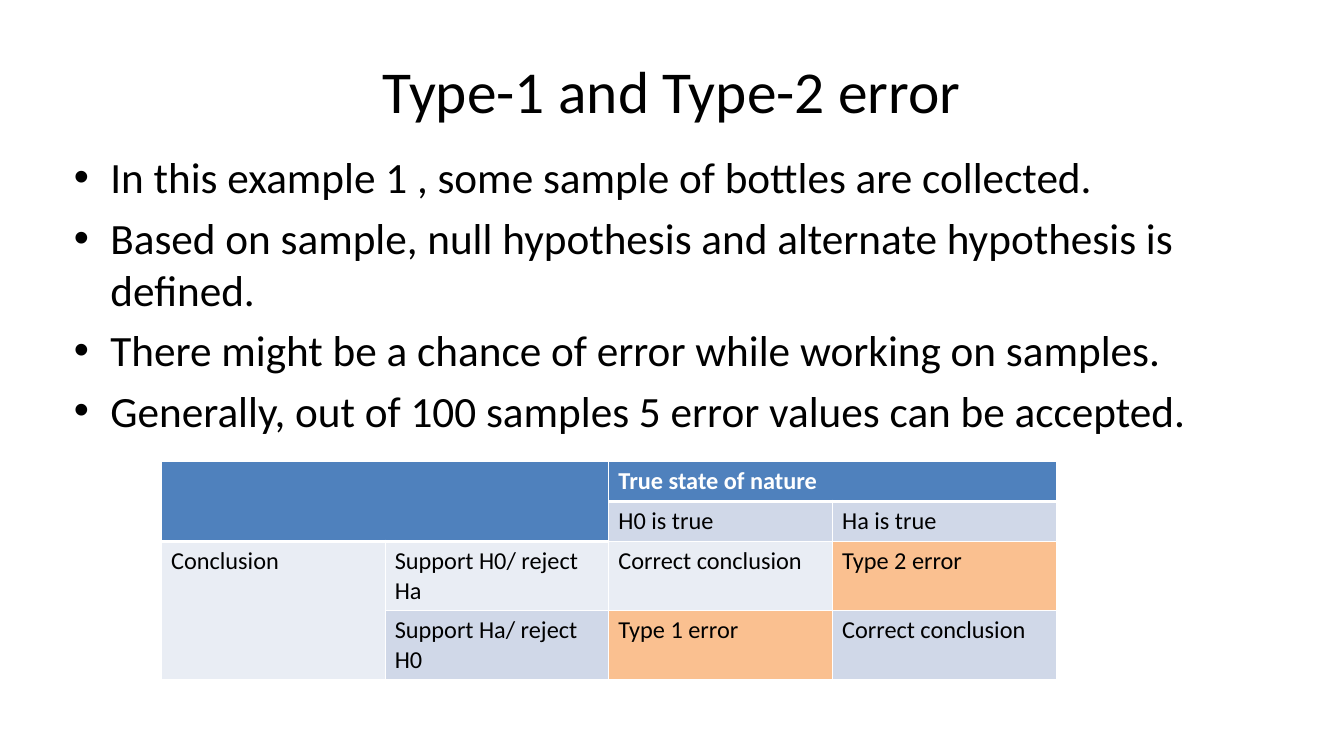
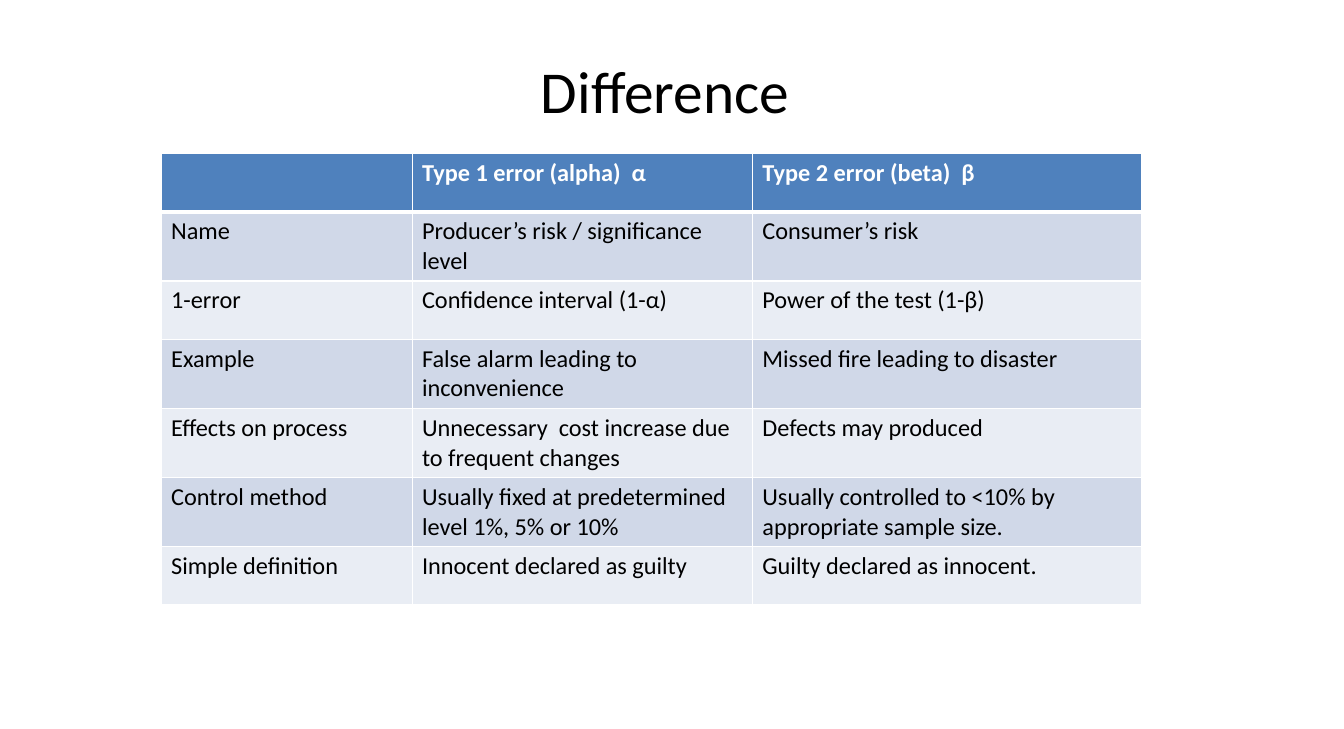
from lxml import etree
from pptx import Presentation
from pptx import util as u
from pptx.dml.color import RGBColor
from pptx.enum import text
from pptx.oxml import ns

FONT = "Calibri"
HUES = {"H": "4F81BD", "D": "D0D8E8", "L": "E9EDF4", "O": "FAC090",
        "ink": "000000", "edge": "FFFFFF"}

PAGES = [
    {
        "title": "Type-1 and Type-2 error",
        "points": [
            "In this example 1 , some sample of bottles are collected.",
            "Based on sample, null hypothesis and alternate hypothesis is defined.",
            "There might be a chance of error while working on samples.",
            "Generally, out of 100 samples 5 error values can be accepted.",
        ],
        "top": 4.75,
        "cols": [2.3] * 4,
        "high": 0.41,
        "fills": ["HHHH", "HHDD", "LLLO", "LDOD"],
        "spans": [(0, 0, 1, 1), (0, 2, 0, 3), (2, 0, 3, 0)],
        "rows": [
            ("", "", "True state of nature", ""),
            ("", "", "H0 is true", "Ha is true"),
            ("Conclusion", "Support H0/ reject Ha", "Correct conclusion", "Type 2 error"),
            ("", "Support Ha/ reject H0", "Type 1 error", "Correct conclusion"),
        ],
    },
    {
        "title": "Difference ",
        "points": [],
        "top": 1.58,
        "cols": [2.58, 3.5, 4],
        "high": 0.6,
        "fills": ["HHH"] + ["DDD", "LLL"] * 3,
        "spans": [],
        "rows": [
            ("", "Type 1 error (alpha)  α", "Type 2 error (beta)  β"),
            ("Name", "Producer’s risk / significance level", "Consumer’s risk"),
            ("1-error", "Confidence interval (1-α)", "Power of the test (1-β)"),
            ("Example", "False alarm leading to inconvenience",
             "Missed fire leading to disaster"),
            ("Effects on process", "Unnecessary  cost increase due to frequent changes",
             "Defects may produced"),
            ("Control method", "Usually fixed at predetermined level 1%, 5% or 10%",
             "Usually controlled to <10% by appropriate sample size."),
            ("Simple definition", "Innocent declared as guilty",
             "Guilty declared as innocent."),
        ],
    },
]


def place(shape, *box):
    shape.left, shape.top, shape.width, shape.height = map(u.Inches, box)


def style(para, size, hue="ink", bold=False):
    font = para.font
    font.name, font.size, font.bold = FONT, u.Pt(size), bold
    font.color.rgb = RGBColor.from_string(HUES[hue])


def edge(cell, side, width):
    props = cell._tc.get_or_add_tcPr()
    line = etree.SubElement(props, ns.qn("a:ln" + side), w=str(u.Pt(width)))
    fill = etree.SubElement(line, ns.qn("a:solidFill"))
    etree.SubElement(fill, ns.qn("a:srgbClr"), val=HUES["edge"])


def add_title(slide, words):
    title = slide.shapes.title
    place(title, 0.69, 0.3, 12.44, 1.25)
    title.text_frame.text = words
    title.text_frame.vertical_anchor = text.MSO_ANCHOR.MIDDLE
    para = title.text_frame.paragraphs[0]
    para.alignment = text.PP_ALIGN.CENTER
    style(para, 44)


def add_points(slide, points):
    body = slide.placeholders[1]
    place(body, 0.66, 1.5, 12.44, 3.42)
    frame = body.text_frame
    frame.auto_size = text.MSO_AUTO_SIZE.NONE
    frame.text = "\n".join(points)
    for para in frame.paragraphs:
        style(para, 32)


def add_grid(slide, page):
    rows, cols, fills = page["rows"], page["cols"], page["fills"]
    frame = slide.shapes.add_table(
        len(rows), len(cols), u.Inches(1.66), u.Inches(page["top"]),
        u.Inches(sum(cols)), u.Inches(page["high"] * len(rows)))
    table = frame.table
    for col, width in zip(table.columns, cols):
        col.width = u.Inches(width)
    for r, row in enumerate(rows):
        table.rows[r].height = u.Inches(page["high"])
        for c, words in enumerate(row):
            cell, key = table.cell(r, c), fills[r][c]
            head = key == "H"
            under = r > 0 and not head and fills[r - 1][c] == "H"
            widths = {"L": 1, "R": 1, "T": 3 if under else 1, "B": 3 if head else 1}
            for side, width in widths.items():
                edge(cell, side, width)
            cell.fill.solid()
            cell.fill.fore_color.rgb = RGBColor.from_string(HUES[key])
            cell.text = words
            style(cell.text_frame.paragraphs[0], 18, "edge" if head else "ink", head)
    for top, left, bottom, right in page["spans"]:
        table.cell(top, left).merge(table.cell(bottom, right))


def main():
    deck = Presentation()
    deck.slide_width, deck.slide_height = u.Inches(13.82), u.Inches(7.5)
    for page in PAGES:
        slide = deck.slides.add_slide(deck.slide_layouts[1 if page["points"] else 5])
        add_title(slide, page["title"])
        if page["points"]:
            add_points(slide, page["points"])
        add_grid(slide, page)
    deck.save("out.pptx")


if __name__ == "__main__":
    main()
